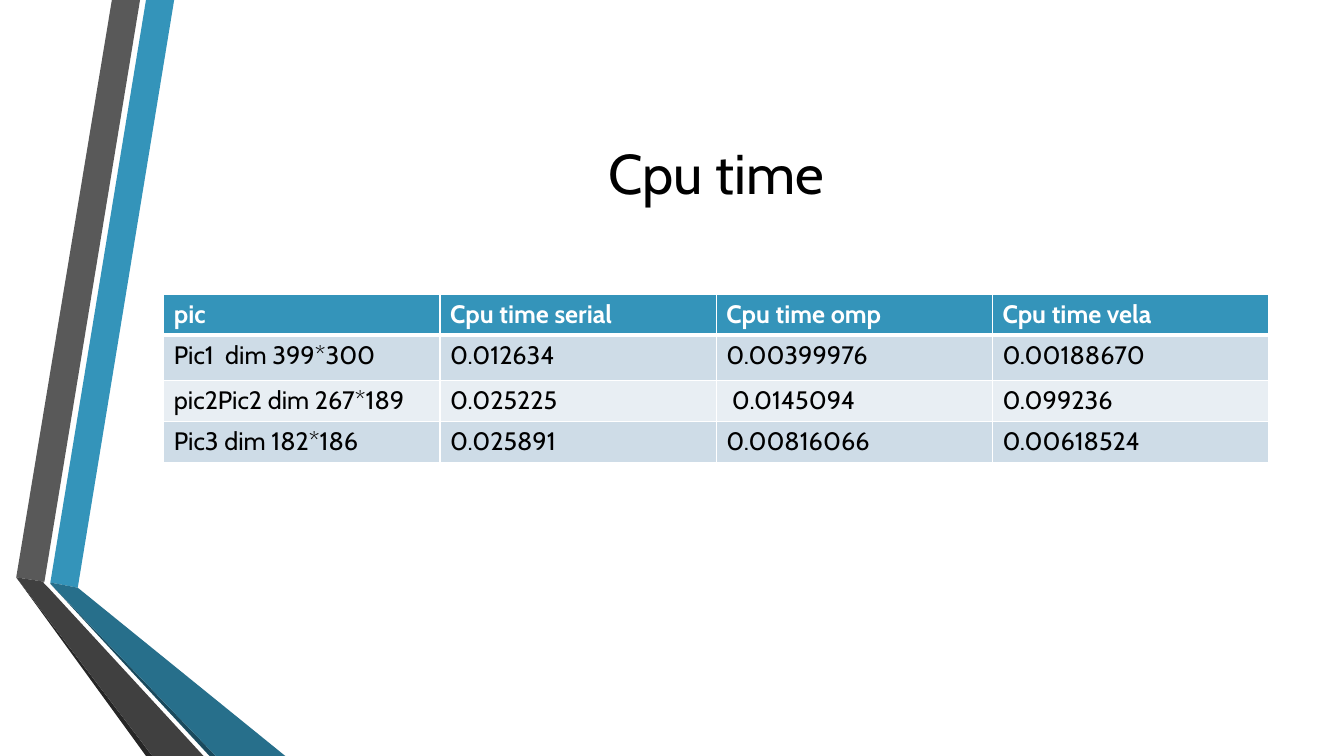
from lxml import etree
from pptx import Presentation
from pptx.dml.color import RGBColor
from pptx.enum.text import MSO_ANCHOR, PP_ALIGN
from pptx.oxml.ns import qn
from pptx.util import Cm, Pt

MIDDLE = MSO_ANCHOR.MIDDLE
LEFT, CENTER = PP_ALIGN.LEFT, PP_ALIGN.CENTER


def color(code):
    return RGBColor.from_string(code)


def write(frame, text, size=18, ink="000000", bold=False, align=LEFT, after=0):
    para = frame.paragraphs[0]
    para.alignment = align
    para.space_after = Pt(after)
    run = para.add_run()
    run.text = text
    run.font.name = "Cabin"
    run.font.size = Pt(size)
    run.font.bold = bold
    run.font.color.rgb = color(ink)


deck = Presentation()
deck.slide_width, deck.slide_height = Cm(33.87), Cm(19.05)
slide = deck.slides.add_slide(deck.slide_layouts[5])

bands = [
    ("3494BA", [(1.27, 14.68), (1.96, 14.81), (4.39, 0), (3.68, 0)]),
    ("595959", [(3.53, 0), (2.82, 0), (0.41, 14.55), (1.12, 14.66)]),
    ("262626", [(0.41, 14.55), (3.68, 19.05), (3.84, 19.05)]),
    ("1A4A5D", [(1.27, 14.71), (5.28, 19.05), (5.44, 19.05)]),
    ("276F8B", [(1.27, 14.71), (5.44, 19.05), (7.19, 19.05),
                (1.96, 14.81), (1.27, 14.68)]),
    ("404040", [(5.13, 19.05), (1.22, 14.81), (1.09, 14.68), (1.12, 14.66),
                (0.41, 14.55), (3.84, 19.05)]),
]
for fill, points in bands:
    start, *rest = [(Cm(x), Cm(y)) for x, y in points]
    pen = slide.shapes.build_freeform(*start)
    pen.add_line_segments(rest, close=True)
    band = pen.convert_to_shape()
    band.shadow.inherit = False
    band.fill.solid()
    band.fill.fore_color.rgb = color(fill)
    band.line.fill.background()

title = slide.shapes.title
title.left, title.top = Cm(4.13), Cm(1.9)
title.width, title.height = Cm(27.84), Cm(4.88)
title.text_frame.word_wrap = True
title.text_frame.vertical_anchor = MIDDLE
write(title.text_frame, "Cpu time", size=40, align=CENTER)

rows = [
    ("pic", "Cpu time serial", "Cpu time omp", "Cpu time vela"),
    ("Pic1  dim 399*300", "0.012634", "0.00399976", "0.00188670"),
    ("pic2Pic2 dim 267*189", "0.025225", " 0.0145094", "0.099236"),
    ("Pic3 dim 182*186", "0.025891", "0.00816066", "0.00618524"),
]
fills = ["3494BA", "CEDCE7", "E8EEF3", "CEDCE7"]
heights = [1.03, 1.14, 1.03, 1.03]
table = slide.shapes.add_table(
    4, 4, Cm(4.13), Cm(7.42), Cm(27.84), Cm(sum(heights))).table
for col in table.columns:
    col.width = Cm(6.96)

for r, row in enumerate(rows):
    table.rows[r].height = Cm(heights[r])
    head = r == 0
    for c, text in enumerate(row):
        cell = table.cell(r, c)
        props = cell._tc.get_or_add_tcPr()
        for side in "LRTB":
            thick = (head and side == "B") or (r == 1 and side == "T")
            edge = etree.SubElement(props, qn("a:ln" + side),
                                    w=str(Pt(3 if thick else 1)))
            paint = etree.SubElement(edge, qn("a:solidFill"))
            etree.SubElement(paint, qn("a:srgbClr"), val="FFFFFF")
        cell.fill.solid()
        cell.fill.fore_color.rgb = color(fills[r])
        write(cell.text_frame, text, bold=head,
              ink="FFFFFF" if head else "000000",
              after=6 if (r, c) == (1, 0) else 0)

deck.save("out.pptx")
